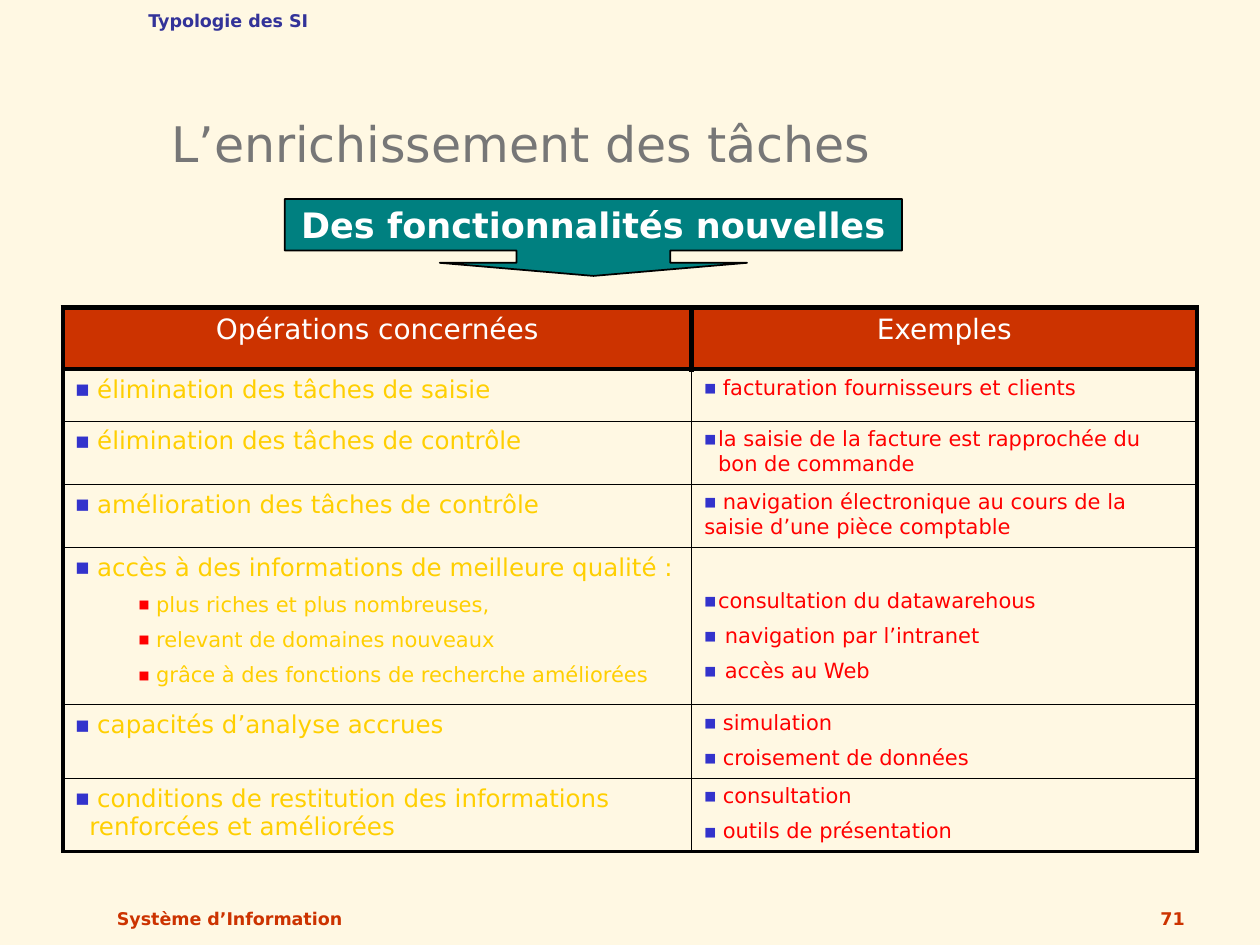
import lxml.etree
import pptx
import pptx.dml.color
import pptx.enum.shapes
import pptx.enum.text
import pptx.oxml.ns
import pptx.util
from pptx.util import Inches

RGBColor = pptx.dml.color.RGBColor
PP_ALIGN = pptx.enum.text.PP_ALIGN
MSO_ANCHOR = pptx.enum.text.MSO_ANCHOR
qn = pptx.oxml.ns.qn

CREAM = RGBColor(0xFF, 0xF8, 0xE3)
GREY = RGBColor(0x77, 0x77, 0x77)
BRICK = RGBColor(0xCC, 0x33, 0x00)
NAVY = RGBColor(0x33, 0x33, 0x99)
BLUE = RGBColor(0x33, 0x33, 0xCC)
TEAL = RGBColor(0x00, 0x80, 0x80)
YELLOW = RGBColor(0xFF, 0xCF, 0x01)
RED = RGBColor(0xFF, 0x00, 0x00)
WHITE = RGBColor(0xFF, 0xFF, 0xFF)
BLACK = RGBColor(0x00, 0x00, 0x00)


def write(text_frame, text, size, color, bold=False, align=PP_ALIGN.LEFT,
          bullet=None, bullet_size=60, margin=0, indent=0):
    """Fill the first paragraph, or add one below the text already there."""
    paragraph = text_frame.paragraphs[0]
    first = not paragraph.runs
    if not first:
        paragraph = text_frame.add_paragraph()
    if bullet is not None:
        properties = paragraph._p.get_or_add_pPr()
        properties.set("marL", str(Inches(margin)))
        properties.set("indent", str(Inches(indent)))
        bullet_color = lxml.etree.SubElement(properties, qn("a:buClr"))
        lxml.etree.SubElement(bullet_color, qn("a:srgbClr"), val=str(bullet))
        lxml.etree.SubElement(properties, qn("a:buSzPct"), val=str(bullet_size * 1000))
        lxml.etree.SubElement(properties, qn("a:buFont"), typeface="DejaVu Sans")
        lxml.etree.SubElement(properties, qn("a:buChar"), char="■")
    paragraph.alignment = align
    paragraph.space_before = pptx.util.Pt(0 if first else 6)
    run = paragraph.add_run()
    run.text = text
    run.font.name = "DejaVu Sans"
    run.font.size = pptx.util.Pt(size)
    run.font.bold = bold
    run.font.color.rgb = color


def set_borders(cell, widths):
    """Draw black borders; widths are points for left, right, top, bottom."""
    properties = cell._tc.get_or_add_tcPr()
    for position, (side, width) in enumerate(zip("LRTB", widths)):
        line = lxml.etree.Element(qn(f"a:ln{side}"), w=str(pptx.util.Pt(width)))
        fill = lxml.etree.SubElement(line, qn("a:solidFill"))
        lxml.etree.SubElement(fill, qn("a:srgbClr"), val=str(BLACK))
        properties.insert(position, line)


presentation = pptx.Presentation()
presentation.slide_width = Inches(10)
presentation.slide_height = Inches(7.5)
slide = presentation.slides.add_slide(presentation.slide_layouts[5])
slide.background.fill.solid()
slide.background.fill.fore_color.rgb = CREAM

# Title
title = slide.shapes.title
title.left, title.top = Inches(1.26), Inches(0.17)
title.width, title.height = Inches(8.52), Inches(1.25)
title.text_frame.vertical_anchor = MSO_ANCHOR.BOTTOM
write(title.text_frame, "L’enrichissement des tâches", 28, GREY)

# Header and footer
LABELS = [
    ("Typologie des SI", 1.08, 0.03, 1.5, 0.27, NAVY, PP_ALIGN.LEFT, MSO_ANCHOR.TOP),
    ("Système d’Information", 0.83, 6.92, 3.17, 0.5, BRICK, PP_ALIGN.LEFT, MSO_ANCHOR.BOTTOM),
    ("71", 7.42, 6.92, 2.08, 0.5, BRICK, PP_ALIGN.RIGHT, MSO_ANCHOR.BOTTOM),
]
for text, left, top, width, height, color, align, anchor in LABELS:
    label = slide.shapes.add_textbox(Inches(left), Inches(top), Inches(width), Inches(height))
    label.text_frame.word_wrap = True
    label.text_frame.vertical_anchor = anchor
    write(label.text_frame, text, 10, color, bold=True, align=align)

# Table
OPERATION = dict(size=14, color=YELLOW, bullet=BLUE)
SUBTASK = dict(size=12, color=YELLOW, bullet=RED, bullet_size=55, margin=0.5)
EXAMPLE = dict(size=12, color=RED, bullet=BLUE)
HANGING = dict(margin=0.11, indent=-0.11)
HEADING = dict(size=16, color=WHITE, align=PP_ALIGN.CENTER)
HANGING_EXAMPLE = EXAMPLE | HANGING

ROWS = [
    (0.49, [("Opérations concernées", HEADING)], [("Exemples", HEADING)]),
    (0.41, [(" élimination des tâches de saisie", OPERATION)],
     [(" facturation fournisseurs et clients", EXAMPLE)]),
    (0.49, [(" élimination des tâches de contrôle", OPERATION)],
     [("la saisie de la facture est rapprochée du bon de commande", HANGING_EXAMPLE)]),
    (0.49, [(" amélioration des tâches de contrôle", OPERATION)],
     [(" navigation électronique au cours de la saisie d’une pièce comptable", EXAMPLE)]),
    (1.25, [(" accès à des informations de meilleure qualité :", OPERATION),
            (" plus riches et plus nombreuses,", SUBTASK),
            (" relevant de domaines nouveaux", SUBTASK),
            (" grâce à des fonctions de recherche améliorées", SUBTASK)],
     [("consultation du datawarehous", HANGING_EXAMPLE),
      (" navigation par l’intranet", HANGING_EXAMPLE),
      (" accès au Web", HANGING_EXAMPLE)]),
    (0.57, [(" capacités d’analyse accrues", OPERATION)],
     [(" simulation", EXAMPLE), (" croisement de données", EXAMPLE)]),
    (0.58, [(" conditions de restitution des informations renforcées et améliorées",
             OPERATION | HANGING)],
     [(" consultation", EXAMPLE), (" outils de présentation", EXAMPLE)]),
]
table = slide.shapes.add_table(len(ROWS), 2, Inches(0.5), Inches(2.44), Inches(9),
                               Inches(sum(row[0] for row in ROWS))).table
table.first_row = False
table.horz_banding = False
table.columns[0].width = Inches(4.99)
table.columns[1].width = Inches(4.01)

for row_index, (height, *contents) in enumerate(ROWS):
    table.rows[row_index].height = Inches(height)
    for column_index, paragraphs in enumerate(contents):
        cell = table.cell(row_index, column_index)
        for text, style in paragraphs:
            write(cell.text_frame, text, **style)
        if row_index == 0:
            cell.fill.solid()
            cell.fill.fore_color.rgb = BRICK
            set_borders(cell, (3, 3, 3, 3))
        else:
            cell.fill.background()
            left, right = (2.25, 1) if column_index == 0 else (1, 2.25)
            top = 3 if row_index == 1 else 0.25
            bottom = 2.25 if row_index == len(ROWS) - 1 else 0.25
            set_borders(cell, (left, right, top, bottom))

# The examples of better information start level with the subtasks
table.cell(4, 1).margin_top = Inches(0.33)

# Callout
callout = slide.shapes.add_shape(pptx.enum.shapes.MSO_SHAPE.DOWN_ARROW_CALLOUT,
                                 Inches(2.26), Inches(1.58), Inches(4.9), Inches(0.61))
for index, value in enumerate((2, 2, 0.17, 0.67)):
    callout.adjustments[index] = value
callout.shadow.inherit = False
callout.fill.solid()
callout.fill.fore_color.rgb = TEAL
callout.line.color.rgb = BLACK
callout.line.width = pptx.util.Pt(1)
callout.text_frame.word_wrap = True
callout.text_frame.vertical_anchor = MSO_ANCHOR.MIDDLE
write(callout.text_frame, "Des fonctionnalités nouvelles", 20, WHITE, bold=True,
      align=PP_ALIGN.CENTER)

presentation.save("out.pptx")
